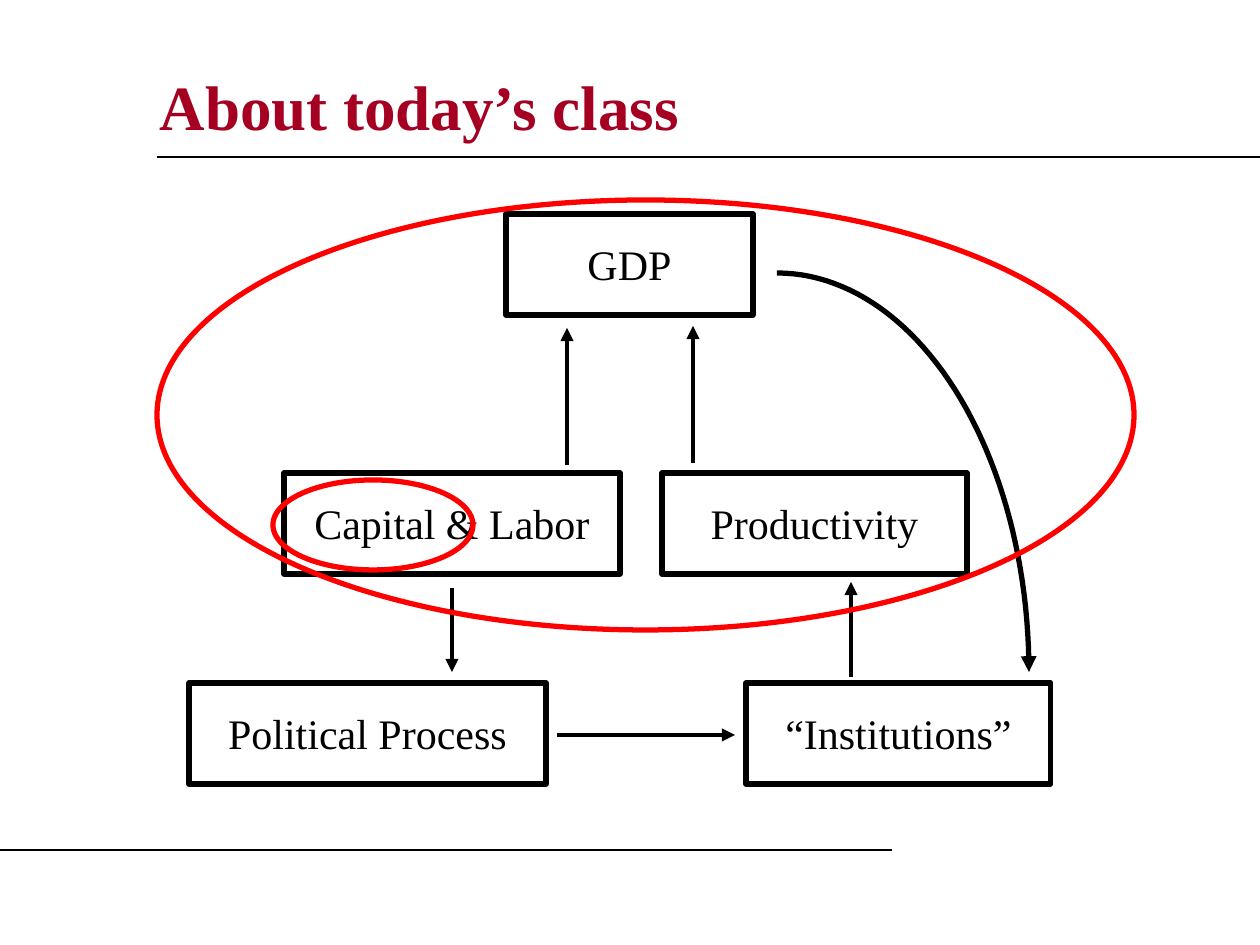
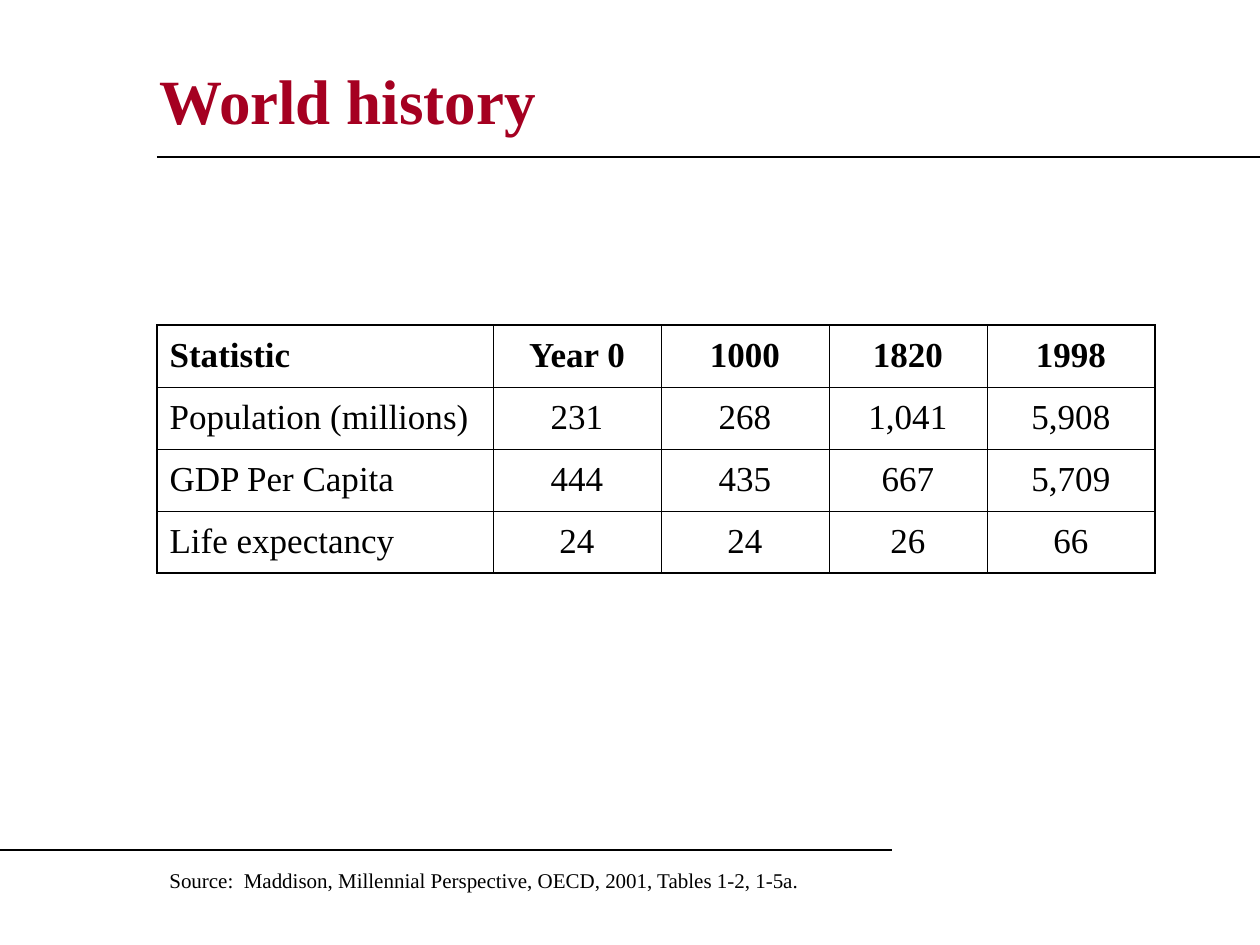
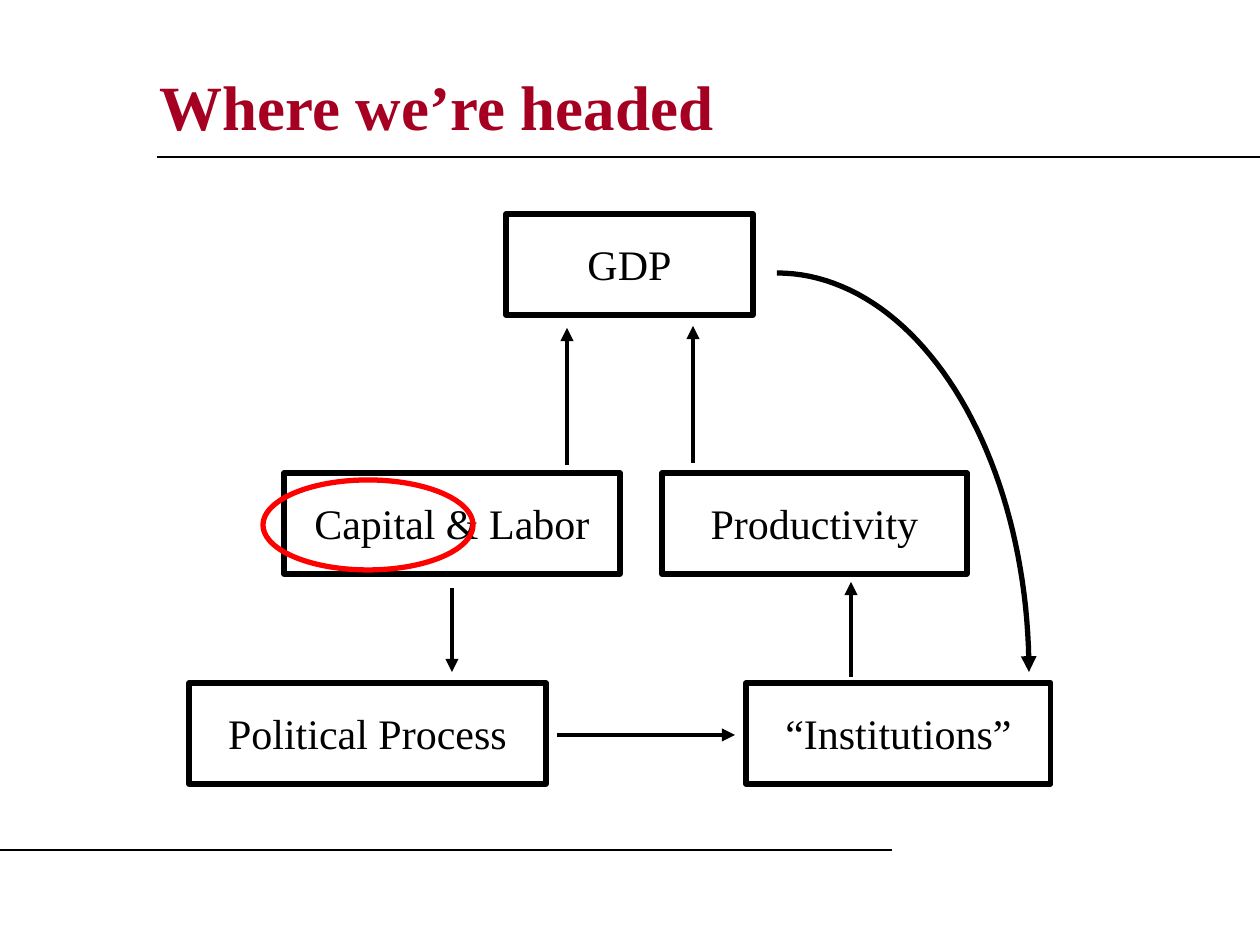
import math
from dataclasses import dataclass

from lxml import etree
from pptx import Presentation
from pptx import util as u
from pptx.dml import color
from pptx.enum import shapes, text
from pptx.oxml import ns

SCALE = u.Inches(1) / 126
FONT = "Times New Roman"
BLACK, MAROON, RED = "000000", "A50021", "FF0000"
TITLE_ONLY = 5
THIN, ARROW, THICK = 0.75, 2.5, 3
INNER, OUTER = 0.45, 1.08


@dataclass(frozen=True)
class Area:
    left: int
    top: int
    width: int
    height: int


@dataclass(frozen=True)
class Node:
    label: str
    area: Area


@dataclass(frozen=True)
class Line:
    start: tuple[int, int]
    end: tuple[int, int]
    width: float = ARROW
    arrow: bool = True


RULES = [
    Line((157, 157), (1260, 157), THIN, False),
    Line((0, 850), (892, 850), THIN, False),
]

BOX_HEIGHT = 101
OUTPUT_TOP, FACTOR_TOP, POLITICS_TOP = 214, 473, 683
NODES = [
    Node("Capital & Labor", Area(284, FACTOR_TOP, 336, BOX_HEIGHT)),
    Node("Productivity", Area(662, FACTOR_TOP, 305, BOX_HEIGHT)),
    Node("GDP", Area(506, OUTPUT_TOP, 247, BOX_HEIGHT)),
    Node("“Institutions”", Area(746, POLITICS_TOP, 305, BOX_HEIGHT)),
    Node("Political Process", Area(189, POLITICS_TOP, 357, BOX_HEIGHT)),
]
FLOWS = [
    Line((567, 465), (567, 328)),
    Line((693, 463), (693, 326)),
    Line((851, 677), (851, 582)),
    Line((557, 735), (735, 735)),
    Line((452, 588), (452, 672)),
]
FEEDBACK = Area(777, 273, 252, 399)
CURVE_STEPS = 48

TITLE_AREA = Area(147, 53, 1018, 105)
STATISTICS = [
    ["Statistic", "Year 0", "1000", "1820", "1998"],
    ["Population (millions)", "231", "268", "1,041", "5,908"],
    ["GDP Per Capita", "444", "435", "667", "5,709"],
    ["Life expectancy", "24", "24", "26", "66"],
]
COLUMN_WIDTHS = [336, 168, 168, 158, 168]
ROW_HEIGHT = 62


def px(length: float) -> u.Emu:
    return u.Emu(round(length * SCALE))


def rgb(value: str) -> color.RGBColor:
    return color.RGBColor.from_string(value)


def place(area: Area) -> tuple[u.Emu, ...]:
    return px(area.left), px(area.top), px(area.width), px(area.height)


def write(frame, words: str, *, size: float, tint: str = BLACK, bold: bool = False,
          align=text.PP_ALIGN.LEFT, before: float = 0) -> None:
    para = frame.paragraphs[0]
    para.alignment = align
    para.space_before = u.Pt(before)
    span = para.add_run()
    span.text = words
    span.font.name = FONT
    span.font.size = u.Pt(size)
    span.font.bold = bold
    span.font.color.rgb = rgb(tint)


def stroke(item, width: float, tint: str = BLACK, arrow: bool = False) -> None:
    item.line.color.rgb = rgb(tint)
    item.line.width = u.Pt(width)
    if arrow:
        outline = item.element.spPr.find(ns.qn("a:ln"))
        etree.SubElement(outline, ns.qn("a:tailEnd"), type="triangle")


def add_line(page, line: Line) -> None:
    connector = page.shapes.add_connector(
        shapes.MSO_CONNECTOR.STRAIGHT, *map(px, line.start + line.end))
    stroke(connector, line.width, arrow=line.arrow)
    etree.SubElement(connector.element.spPr, ns.qn("a:effectLst"))


def add_outline(page, kind, area: Area, tint: str):
    shape = page.shapes.add_shape(kind, *place(area))
    shape.shadow.inherit = False
    shape.fill.background()
    stroke(shape, THICK, tint)
    return shape


def add_node(page, node: Node) -> None:
    box = add_outline(page, shapes.MSO_SHAPE.RECTANGLE, node.area, BLACK)
    frame = box.text_frame
    frame.word_wrap = True
    frame.auto_size = text.MSO_AUTO_SIZE.SHAPE_TO_FIT_TEXT
    frame.vertical_anchor = text.MSO_ANCHOR.TOP
    frame.margin_left = frame.margin_right = px(25)
    frame.margin_top = frame.margin_bottom = px(25)
    write(frame, node.label, size=24, align=text.PP_ALIGN.CENTER, before=15)


def add_feedback(page, area: Area) -> None:
    angles = [math.pi / 2 * step / CURVE_STEPS for step in range(CURVE_STEPS + 1)]
    points = [(px(area.left + area.width * math.sin(angle)),
               px(area.top + area.height * (1 - math.cos(angle)))) for angle in angles]
    builder = page.shapes.build_freeform(*points[0])
    builder.add_line_segments(points[1:], close=False)
    curve = builder.convert_to_shape()
    curve.shadow.inherit = False
    curve.fill.background()
    stroke(curve, THICK, arrow=True)


def add_page(deck, heading: str, area: Area = TITLE_AREA):
    page = deck.slides.add_slide(deck.slide_layouts[TITLE_ONLY])
    title = page.shapes.title
    title.left, title.top, title.width, title.height = place(area)
    frame = title.text_frame
    frame.word_wrap = True
    frame.auto_size = text.MSO_AUTO_SIZE.NONE
    frame.vertical_anchor = text.MSO_ANCHOR.MIDDLE
    write(frame, heading, size=36, tint=MAROON, bold=True)
    for rule in RULES:
        add_line(page, rule)
    return page


def add_diagram(deck, heading: str, highlights: list[Area]) -> None:
    page = add_page(deck, heading)
    for node in NODES:
        add_node(page, node)
    for flow in FLOWS:
        add_line(page, flow)
    add_feedback(page, FEEDBACK)
    for highlight in highlights:
        add_outline(page, shapes.MSO_SHAPE.OVAL, highlight, RED)


def add_borders(cell, widths: dict[str, float]) -> None:
    properties = cell._tc.get_or_add_tcPr()
    for side, width in widths.items():
        border = etree.SubElement(properties, ns.qn(f"a:ln{side}"), w=str(u.Pt(width)))
        fill = etree.SubElement(border, ns.qn("a:solidFill"))
        etree.SubElement(fill, ns.qn("a:srgbClr"), val=BLACK)


def add_statistics(page) -> None:
    rows, columns = len(STATISTICS), len(COLUMN_WIDTHS)
    area = Area(157, 325, sum(COLUMN_WIDTHS), rows * ROW_HEIGHT)
    table = page.shapes.add_table(rows, columns, *place(area)).table
    table.first_row = table.horz_banding = False
    for column, width in zip(table.columns, COLUMN_WIDTHS):
        column.width = px(width)
    for r, values in enumerate(STATISTICS):
        for c, value in enumerate(values):
            cell = table.cell(r, c)
            cell.vertical_anchor = text.MSO_ANCHOR.MIDDLE
            write(cell.text_frame, value, size=20, bold=r == 0, before=5,
                  align=text.PP_ALIGN.CENTER if c else text.PP_ALIGN.LEFT)
            edges = {"L": c == 0, "R": c == columns - 1, "T": r == 0, "B": r == rows - 1}
            add_borders(cell, {side: OUTER if edge else INNER for side, edge in edges.items()})
            cell.fill.background()


def add_source(page, words: str) -> None:
    frame = page.shapes.add_textbox(*place(Area(157, 861, 683, 38))).text_frame
    frame.word_wrap = True
    frame.auto_size = text.MSO_AUTO_SIZE.SHAPE_TO_FIT_TEXT
    write(frame, words, size=12, before=7.5)


def main() -> None:
    deck = Presentation()
    deck.slide_width, deck.slide_height = px(1260), px(945)
    add_diagram(deck, "About today’s class",
                [Area(157, 200, 977, 430), Area(273, 480, 200, 90)])
    page = add_page(deck, "World history", Area(147, 63, 998, 73))
    add_statistics(page)
    add_source(page, "Source:  Maddison, Millennial Perspective, OECD, 2001, Tables 1-2, 1-5a.")
    add_diagram(deck, "Where we’re headed", [Area(263, 480, 210, 90)])
    deck.save("out.pptx")


if __name__ == "__main__":
    main()
